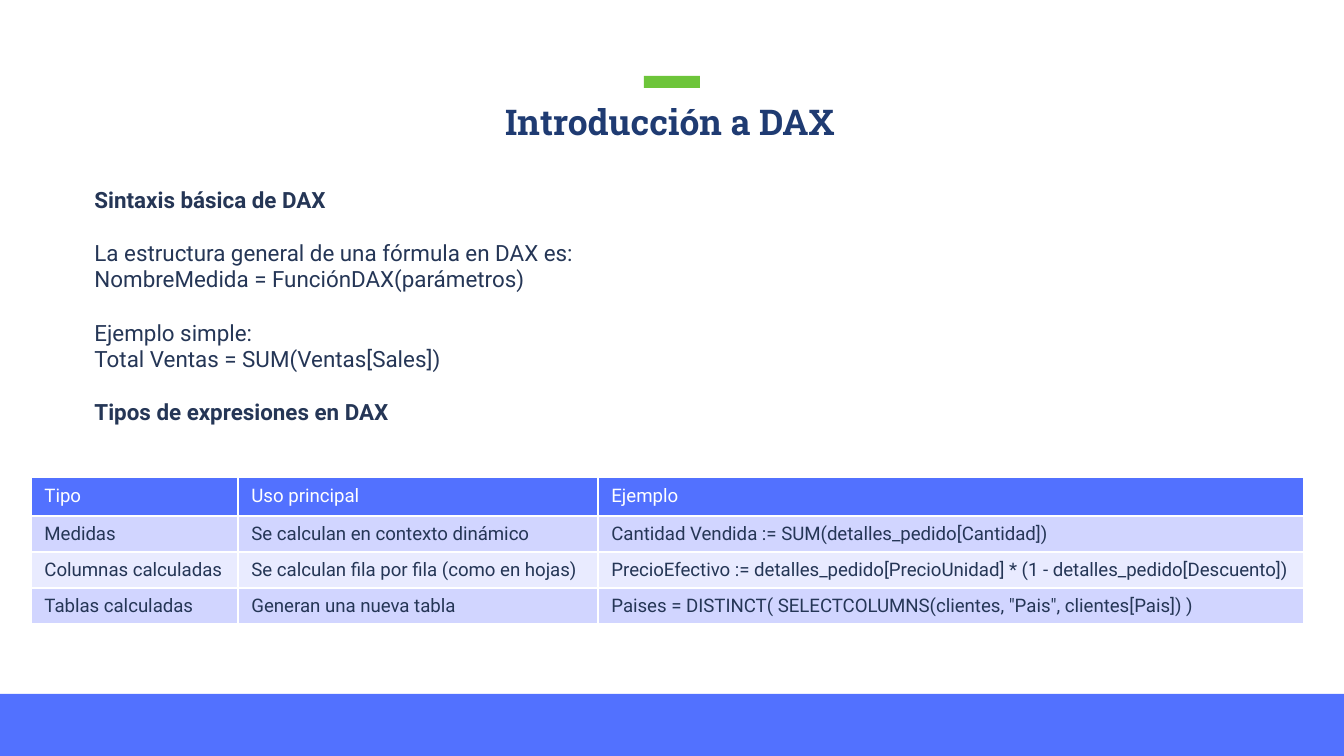
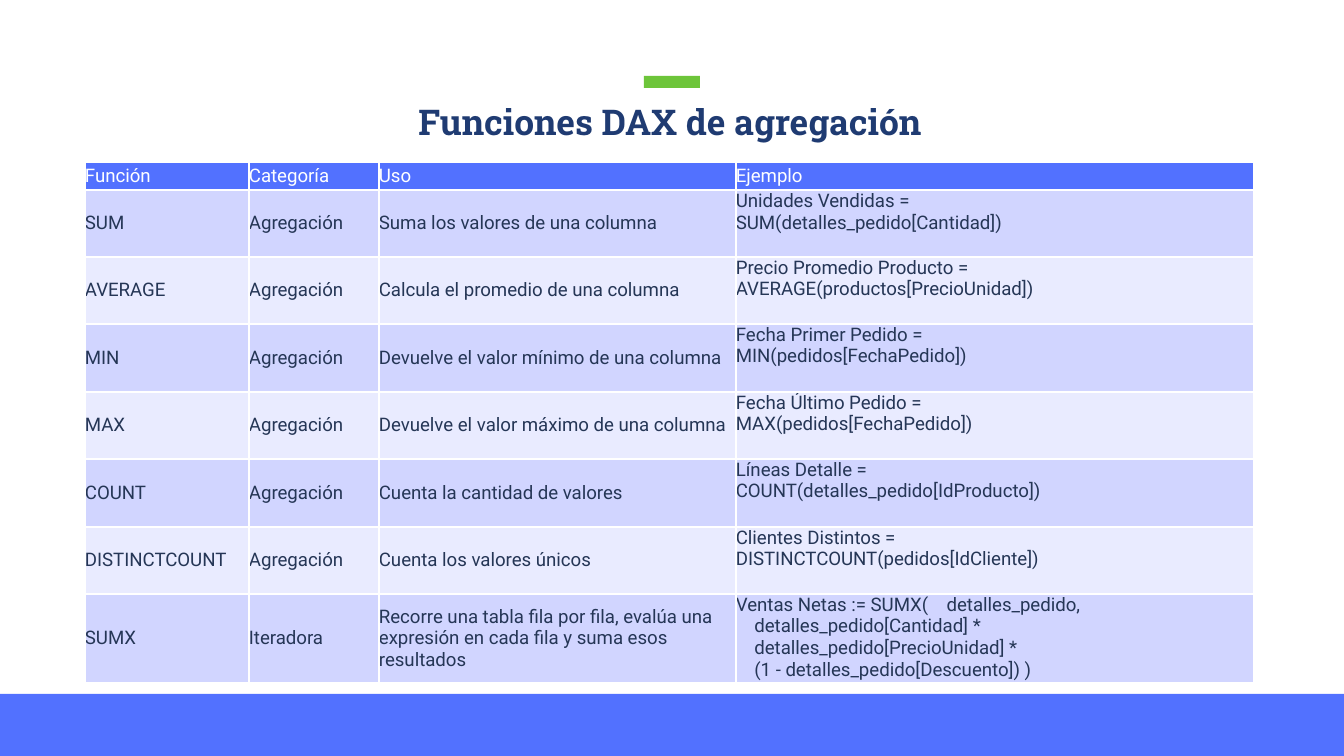
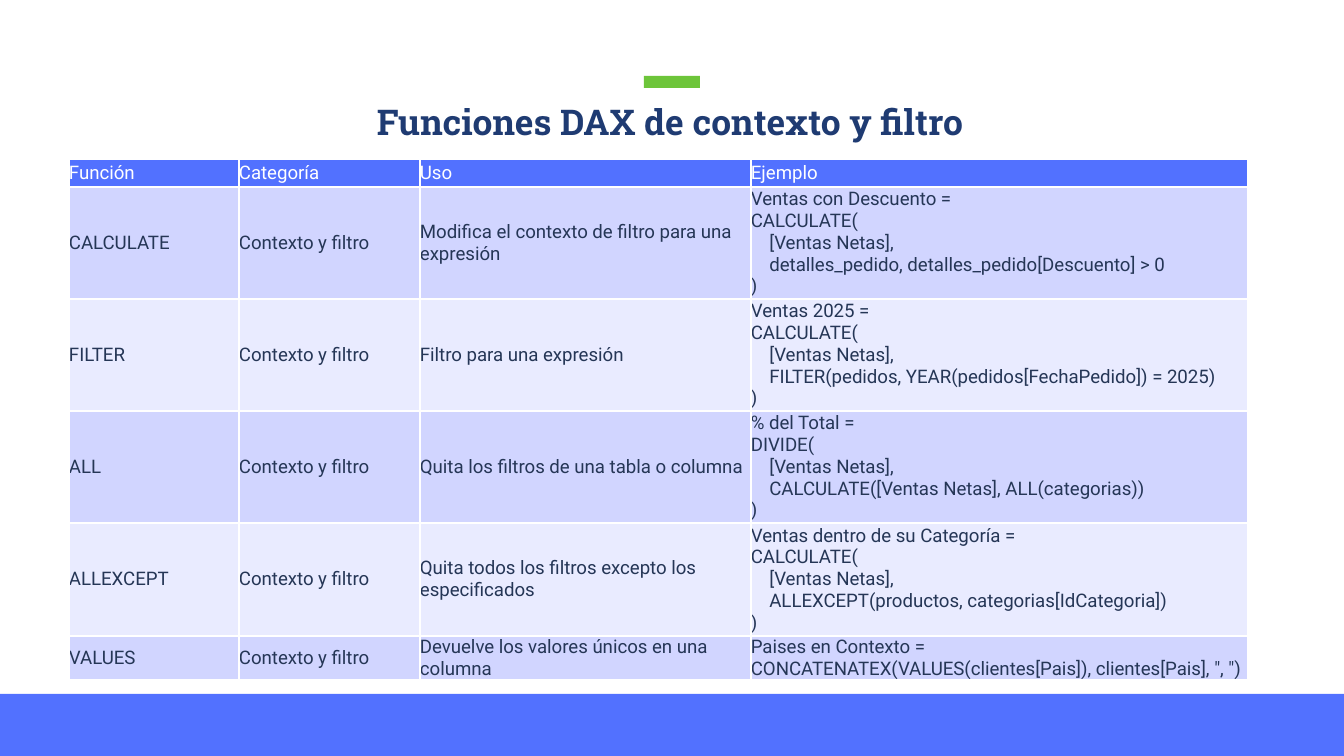
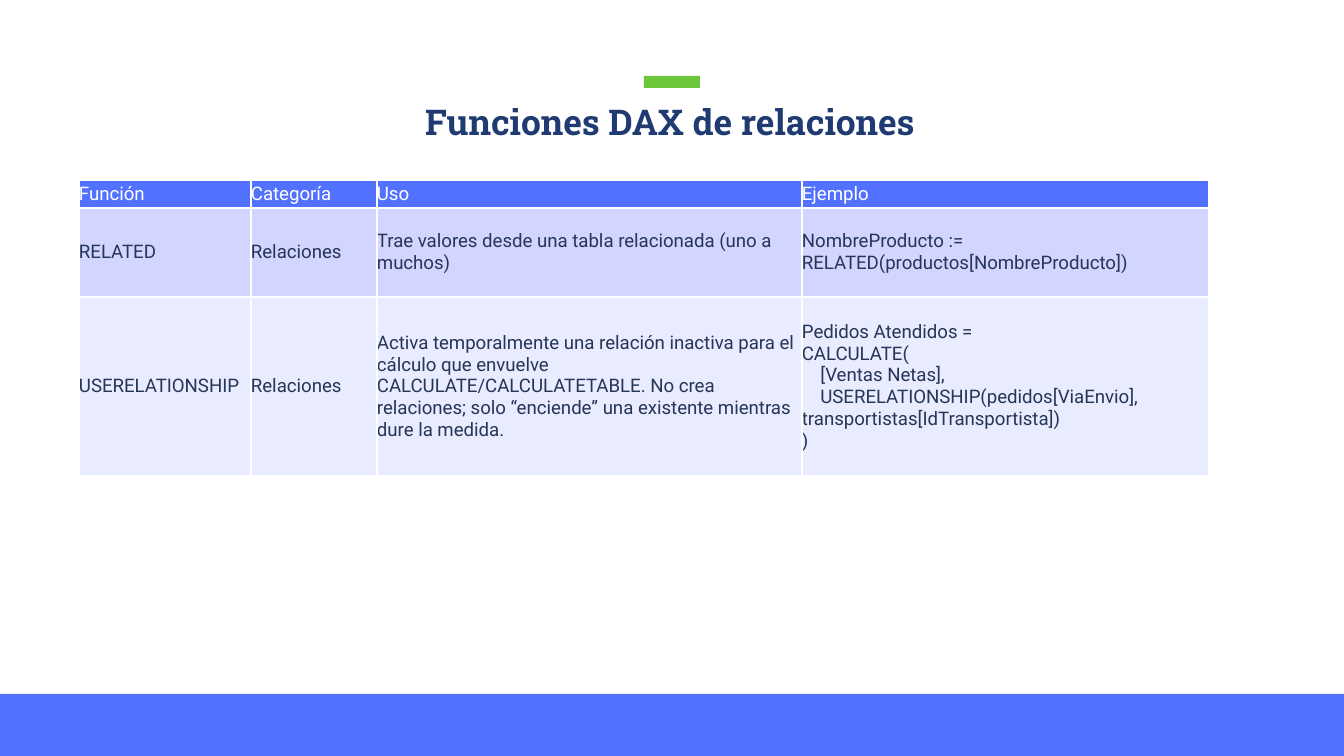
"""Build four slides that introduce DAX and its aggregation, filter and relationship functions."""
import pptx
import pptx.dml.color
import pptx.enum.shapes
import pptx.enum.text
import pptx.oxml
import pptx.oxml.ns
import pptx.util

EMU_PER_PX = 914400 / 134.4
BLUE, GREEN, NAVY, INK, WHITE = "5271FF", "6DC53A", "1F3B72", "253656", "FFFFFF"
STRIPES = ["E9EBFF", "D1D5FF"]
MIDDLE = pptx.enum.text.MSO_ANCHOR.MIDDLE
TOP = pptx.enum.text.MSO_ANCHOR.TOP


def px(length):
    return pptx.util.Emu(round(length * EMU_PER_PX))


def color(hex_string):
    return pptx.dml.color.RGBColor.from_string(hex_string)


TITLE_BOX = {"left": px(105), "top": px(107), "width": px(1130), "height": px(36)}
BODY_BOX = {"left": px(81), "top": px(179), "width": px(1181), "height": px(285)}
TITLE_FRAME = {"margin_left": 0, "margin_top": 0, "margin_right": 0, "margin_bottom": 0,
               "word_wrap": True, "vertical_anchor": TOP,
               "auto_size": pptx.enum.text.MSO_AUTO_SIZE.NONE}
BODY_FRAME = {"word_wrap": True, "vertical_anchor": TOP,
              "auto_size": pptx.enum.text.MSO_AUTO_SIZE.NONE}
TITLE_PARAGRAPH = {"alignment": pptx.enum.text.PP_ALIGN.CENTER,
                   "line_spacing": pptx.util.Pt(19.3)}
TITLE_FONT = {"name": "Roboto Slab", "size": pptx.util.Pt(19), "bold": True}
CELL_FONT = {"name": "Roboto", "size": pptx.util.Pt(10), "bold": False}
NO_MARGINS = {"margin_left": 0, "margin_top": 0, "margin_right": 0, "margin_bottom": 0}

BANDS = [((0, 694, 1344, 62), BLUE), ((644, 76, 56, 12), GREEN)]
HEADER = ["Función", "Categoría", "Uso", "Ejemplo"]

syntax_lines = [
    ("Sintaxis básica de DAX", True, 0),
    ("La estructura general de una fórmula en DAX es:", False, 14),
    ("NombreMedida = FunciónDAX(parámetros)", False, 0),
    ("Ejemplo simple:", False, 14),
    ("Total Ventas = SUM(Ventas[Sales])", False, 0),
    ("Tipos de expresiones en DAX", True, 14),
]

topics = [
    {
        "title": "Introducción a DAX",
        "lines": syntax_lines,
        "corner": (31, 477),
        "columns": [207, 360, 706],
        "heights": [39, 36, 36, 36],
        "margins": {},
        "example_anchor": MIDDLE,
        "rows": [
            ["Tipo", "Uso principal", "Ejemplo"],
            ["Medidas", "Se calculan en contexto dinámico",
             "Cantidad Vendida := SUM(detalles_pedido[Cantidad])"],
            ["Columnas calculadas", "Se calculan fila por fila (como en hojas)",
             "PrecioEfectivo := detalles_pedido[PrecioUnidad] * (1 - detalles_pedido[Descuento])"],
            ["Tablas calculadas", "Generan una nueva tabla",
             'Paises = DISTINCT( SELECTCOLUMNS(clientes, "Pais", clientes[Pais]) )'],
        ],
    },
    {
        "title": "Funciones DAX de agregación",
        "lines": [],
        "corner": (85, 162),
        "columns": [164, 130, 357, 518],
        "heights": [28, 67, 67, 68, 67, 68, 67, 89],
        "margins": NO_MARGINS,
        "example_anchor": TOP,
        "rows": [
            HEADER,
            ["SUM", "Agregación", "Suma los valores de una columna",
             "Unidades Vendidas =\nSUM(detalles_pedido[Cantidad])"],
            ["AVERAGE", "Agregación", "Calcula el promedio de una columna",
             "Precio Promedio Producto =\nAVERAGE(productos[PrecioUnidad])"],
            ["MIN", "Agregación", "Devuelve el valor mínimo de una columna",
             "Fecha Primer Pedido =\nMIN(pedidos[FechaPedido])"],
            ["MAX", "Agregación", "Devuelve el valor máximo de una columna",
             "Fecha Último Pedido =\nMAX(pedidos[FechaPedido])"],
            ["COUNT", "Agregación", "Cuenta la cantidad de valores",
             "Líneas Detalle =\nCOUNT(detalles_pedido[IdProducto])"],
            ["DISTINCTCOUNT", "Agregación", "Cuenta los valores únicos",
             "Clientes Distintos =\nDISTINCTCOUNT(pedidos[IdCliente])"],
            ["SUMX", "Iteradora",
             "Recorre una tabla fila por fila, evalúa una expresión en cada fila y suma esos resultados",
             "Ventas Netas := SUMX(    detalles_pedido,\n    detalles_pedido[Cantidad] *\n"
             "    detalles_pedido[PrecioUnidad] *\n    (1 - detalles_pedido[Descuento]) )"],
        ],
    },
    {
        "title": "Funciones DAX de contexto y filtro",
        "lines": [],
        "corner": (69, 159),
        "columns": [170, 181, 331, 497],
        "heights": [28, 112, 112, 112, 113, 44],
        "margins": NO_MARGINS,
        "example_anchor": MIDDLE,
        "rows": [
            HEADER,
            ["CALCULATE", "Contexto y filtro", "Modifica el contexto de filtro para una expresión",
             "Ventas con Descuento =\nCALCULATE(\n    [Ventas Netas],\n"
             "    detalles_pedido, detalles_pedido[Descuento] > 0\n)"],
            ["FILTER", "Contexto y filtro", "Filtro para una expresión",
             "Ventas 2025 =\nCALCULATE(\n    [Ventas Netas],\n"
             "    FILTER(pedidos, YEAR(pedidos[FechaPedido]) = 2025)\n)"],
            ["ALL", "Contexto y filtro", "Quita los filtros de una tabla o columna",
             "% del Total =\nDIVIDE(\n    [Ventas Netas],\n"
             "    CALCULATE([Ventas Netas], ALL(categorias))\n)"],
            ["ALLEXCEPT", "Contexto y filtro", "Quita todos los filtros excepto los especificados",
             "Ventas dentro de su Categoría =\nCALCULATE(\n    [Ventas Netas],\n"
             "    ALLEXCEPT(productos, categorias[IdCategoria])\n)"],
            ["VALUES", "Contexto y filtro", "Devuelve los valores únicos en una columna",
             'Paises en Contexto =\nCONCATENATEX(VALUES(clientes[Pais]), clientes[Pais], ", ")'],
        ],
    },
    {
        "title": "Funciones DAX de relaciones",
        "lines": [],
        "corner": (79, 180),
        "columns": [172, 126, 425, 407],
        "heights": [28, 89, 179],
        "margins": NO_MARGINS,
        "example_anchor": MIDDLE,
        "rows": [
            HEADER,
            ["RELATED", "Relaciones", "Trae valores desde una tabla relacionada (uno a muchos)",
             "NombreProducto :=\nRELATED(productos[NombreProducto])"],
            ["USERELATIONSHIP", "Relaciones",
             "Activa temporalmente una relación inactiva para el cálculo que envuelve "
             "CALCULATE/CALCULATETABLE. No crea relaciones; solo “enciende” una existente "
             "mientras dure la medida.",
             "Pedidos Atendidos =\nCALCULATE(\n    [Ventas Netas],\n"
             "    USERELATIONSHIP(pedidos[ViaEnvio], transportistas[IdTransportista])\n)"],
        ],
    },
]

deck = pptx.Presentation()
deck.slide_width = px(1344)
deck.slide_height = px(756)

for topic in topics:
    slide = deck.slides.add_slide(deck.slide_layouts[1 if topic["lines"] else 5])

    heading = slide.shapes.title
    heading.text_frame.text = topic["title"]
    heading_line = heading.text_frame.paragraphs[0]
    heading_font = heading_line.runs[0].font
    for target, values in [(heading, TITLE_BOX), (heading.text_frame, TITLE_FRAME),
                           (heading_line, TITLE_PARAGRAPH), (heading_font, TITLE_FONT)]:
        for attribute, value in values.items():
            setattr(target, attribute, value)
    heading_font.color.rgb = color(NAVY)

    for box, fill in BANDS:
        band = slide.shapes.add_shape(pptx.enum.shapes.MSO_SHAPE.RECTANGLE, *map(px, box))
        band.shadow.inherit = False
        band.fill.solid()
        band.fill.fore_color.rgb = color(fill)
        band.line.fill.background()

    if topic["lines"]:
        syntax = slide.placeholders[1]
        syntax.text_frame.text = "\n".join(text for text, bold, gap in topic["lines"])
        for target, values in [(syntax, BODY_BOX), (syntax.text_frame, BODY_FRAME)]:
            for attribute, value in values.items():
                setattr(target, attribute, value)
        for paragraph, (text, bold, gap) in zip(syntax.text_frame.paragraphs, topic["lines"]):
            properties = paragraph._p.get_or_add_pPr()
            properties.set("marL", "0")
            properties.set("indent", "0")
            properties.append(pptx.oxml.parse_xml(
                f'<a:buNone {pptx.oxml.ns.nsdecls("a")}/>'))
            paragraph.space_before = pptx.util.Pt(gap)
            font = paragraph.runs[0].font
            for attribute, value in {"name": "Roboto", "size": pptx.util.Pt(12), "bold": bold}.items():
                setattr(font, attribute, value)
            font.color.rgb = color(INK)

    rows, columns, heights = topic["rows"], topic["columns"], topic["heights"]
    functions = slide.shapes.add_table(
        len(rows), len(columns), *map(px, (*topic["corner"], sum(columns), sum(heights)))).table
    for column, width in zip(functions.columns, columns):
        column.width = px(width)
    for row_index, (row, height) in enumerate(zip(rows, heights)):
        functions.rows[row_index].height = px(height)
        is_header = row_index == 0
        for column_index, text in enumerate(row):
            cell = functions.cell(row_index, column_index)
            cell.text_frame.text = text
            is_example = column_index == len(row) - 1 and not is_header
            cell.vertical_anchor = topic["example_anchor"] if is_example else MIDDLE
            for attribute, value in topic["margins"].items():
                setattr(cell, attribute, value)
            for side in "LRTB":
                cell._tc.get_or_add_tcPr().append(pptx.oxml.parse_xml(
                    f'<a:ln{side} {pptx.oxml.ns.nsdecls("a")} w="{pptx.util.Pt(1)}">'
                    f'<a:solidFill><a:srgbClr val="{WHITE}"/></a:solidFill></a:ln{side}>'))
            cell.fill.solid()
            cell.fill.fore_color.rgb = color(BLUE if is_header else STRIPES[row_index % 2])
            for paragraph in cell.text_frame.paragraphs:
                font = paragraph.runs[0].font
                for attribute, value in CELL_FONT.items():
                    setattr(font, attribute, value)
                font.color.rgb = color(WHITE if is_header else INK)

deck.save("out.pptx")
